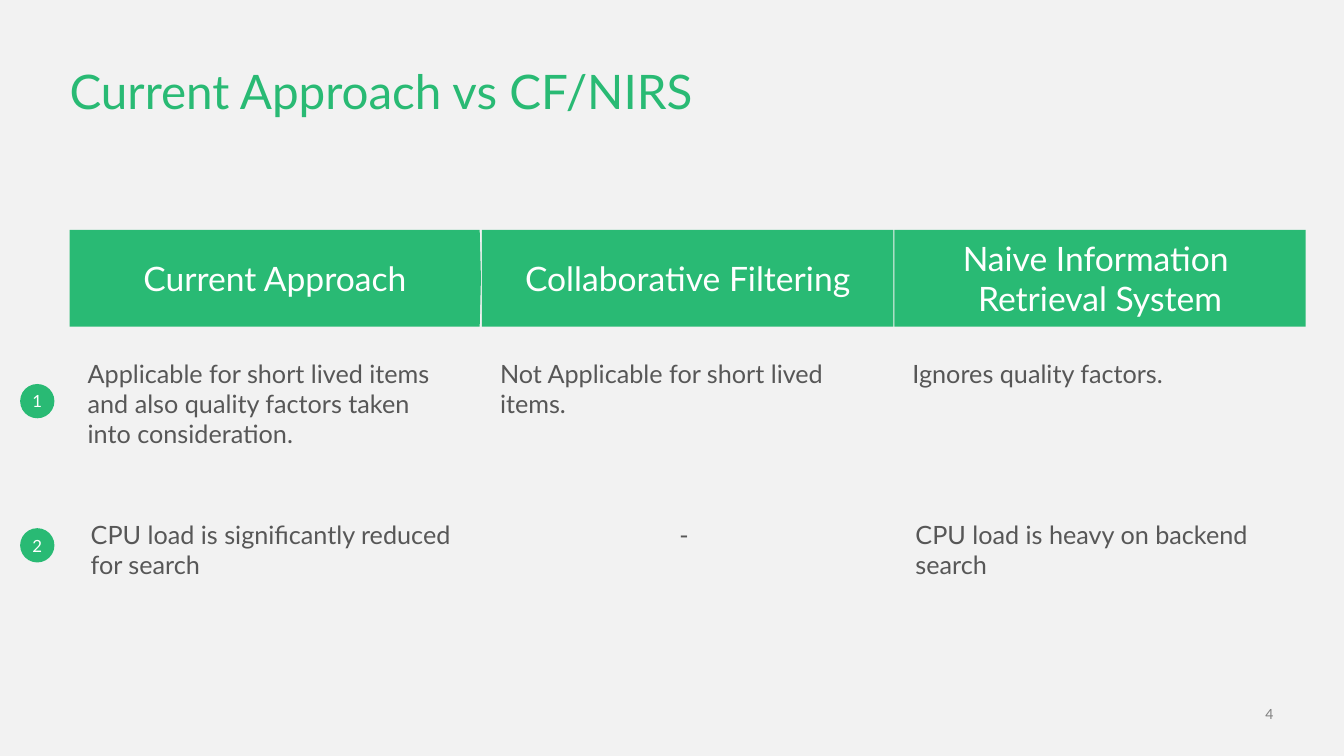
from pptx import Presentation
from pptx import util as u
from pptx.dml import color
from pptx.enum import shapes, text

GREEN, GREY, WHITE = "29BA74", "575757", "FFFFFF"
LEFT, PITCH = 0.69, 4.09
SHAPE = shapes.MSO_SHAPE
ALIGN = text.PP_ALIGN
ANCHOR = text.MSO_ANCHOR

HEADS = [
    (SHAPE.PENTAGON, 0.013, "Current Approach"),
    (SHAPE.CHEVRON, 0, "Collaborative Filtering"),
    (SHAPE.CHEVRON, 0, "Naive Information \nRetrieval System"),
]
ROWS = [
    (LEFT, 3.55, 3.81, [
        ("Applicable for short lived items and also quality factors taken into consideration.", ALIGN.LEFT),
        ("Not Applicable for short lived items.", ALIGN.LEFT),
        ("Ignores quality factors.", ALIGN.LEFT),
    ]),
    (LEFT + 0.03, 5.15, 5.24, [
        ("CPU load is significantly reduced for search", ALIGN.LEFT),
        ("-", ALIGN.CENTER),
        ("CPU load is heavy on backend search", ALIGN.LEFT),
    ]),
]


def paint(item, hue):
    item.fill.solid()
    item.fill.fore_color.rgb = color.RGBColor.from_string(hue)


def write(shape, words, size, hue, align=ALIGN.LEFT, anchor=ANCHOR.TOP, inset=0, space=None):
    frame = shape.text_frame
    frame.text = words
    frame.word_wrap = True
    frame.auto_size = text.MSO_AUTO_SIZE.NONE
    frame.vertical_anchor = anchor
    frame.margin_left = u.Inches(inset)
    frame.margin_right = frame.margin_top = frame.margin_bottom = 0
    for para in frame.paragraphs:
        para.alignment = align
        para.line_spacing = space
        for run in para.runs:
            run.font.name = "Lato"
            run.font.size = u.Pt(size)
            run.font.color.rgb = color.RGBColor.from_string(hue)


def add_title(slide, words):
    title = slide.shapes.title
    title.left, title.top, title.width, title.height = map(u.Inches, (LEFT, 0.68, 11.96, 0.51))
    write(title, words, 34, GREEN, space=0.9)


def add_block(slide, kind, box, words, size):
    block = slide.shapes.add_shape(kind, *map(u.Inches, box))
    block.shadow.inherit = False
    paint(block, GREEN)
    block.line.fill.background()
    write(block, words, size, WHITE, ALIGN.CENTER, ANCHOR.MIDDLE)
    return block


def add_note(slide, box, words, size, hue, **style):
    note = slide.shapes.add_textbox(*map(u.Inches, box))
    write(note, words, size, hue, **style)


def main():
    deck = Presentation()
    deck.slide_width, deck.slide_height = u.Inches(13.33), u.Inches(7.5)
    slide = deck.slides.add_slide(deck.slide_layouts[5])
    paint(slide.background, "F2F2F2")
    add_title(slide, "Current Approach vs CF/NIRS")
    for col, (kind, bend, words) in enumerate(HEADS):
        head = add_block(slide, kind, (LEFT + col * PITCH, 2.28, 4.08, 0.96), words, 24)
        head.adjustments[0] = bend
    for num, (left, top, dot, cells) in enumerate(ROWS, 1):
        add_block(slide, SHAPE.OVAL, (0.2, dot, 0.34, 0.34), str(num), 12)
        for col, (words, align) in enumerate(cells):
            add_note(slide, (left + col * PITCH, top, 3.77, 1.07), words, 18, GREY, align=align, inset=0.18)
    add_note(slide, (12.21, 7, 0.42, 0.17), "4", 10, "808080", align=ALIGN.RIGHT, anchor=ANCHOR.BOTTOM)
    deck.save("out.pptx")


if __name__ == "__main__":
    main()
